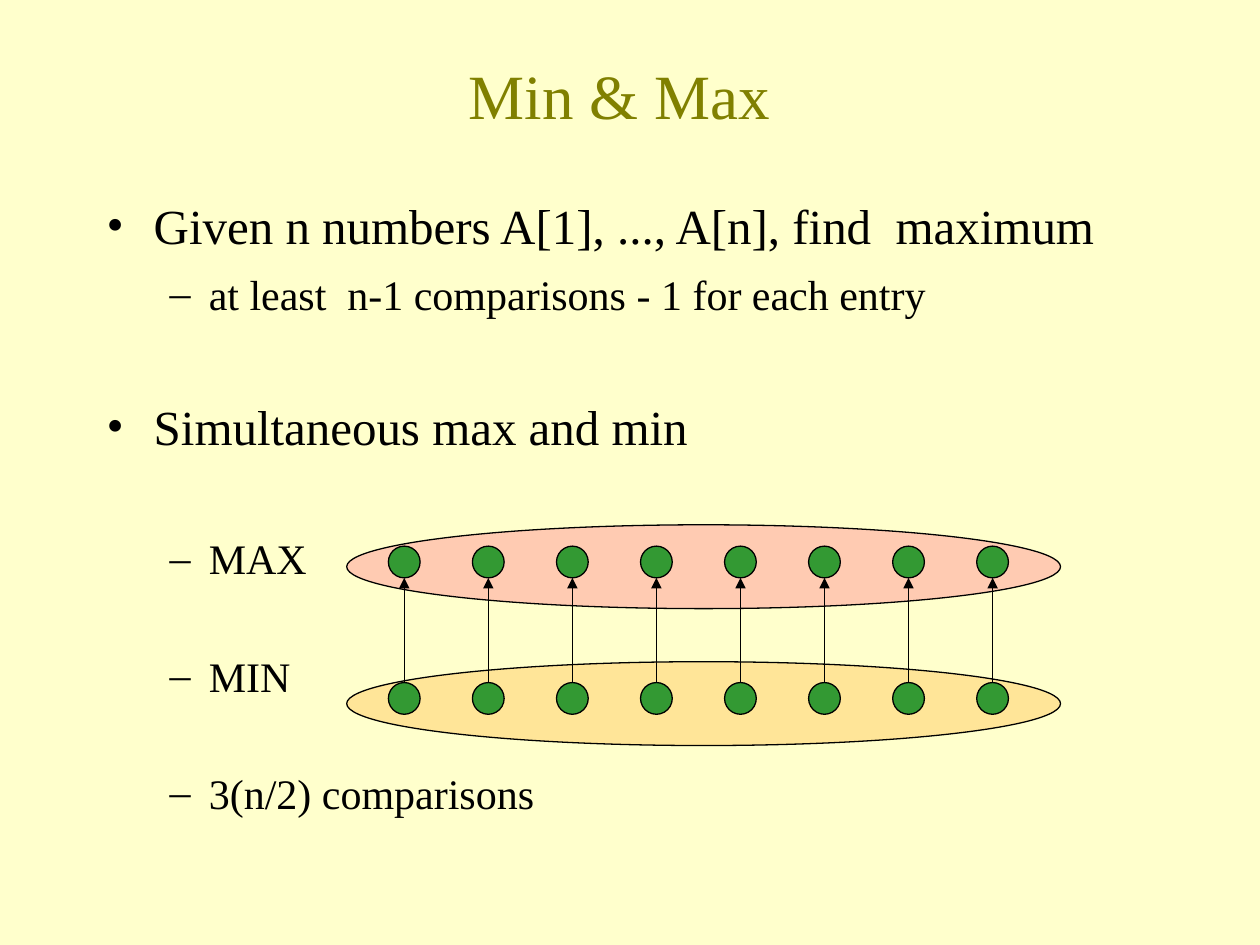
from lxml import etree
from pptx import Presentation
from pptx.dml.color import RGBColor
from pptx.enum.shapes import MSO_CONNECTOR, MSO_SHAPE
from pptx.enum.text import MSO_ANCHOR, PP_ALIGN
from pptx.oxml.ns import qn
from pptx.util import Cm, Pt

OVAL = MSO_SHAPE.OVAL
STRAIGHT = MSO_CONNECTOR.STRAIGHT
CENTER = PP_ALIGN.CENTER
TOP, MIDDLE = MSO_ANCHOR.TOP, MSO_ANCHOR.MIDDLE

FONT = "Times New Roman"
COLORS = {
    "background": "FFFFCC",
    "title": "808000",
    "text": "000000",
    "max": "FF9999",
    "min": "FFCC66",
    "node": "339933",
}


def format_font(font, size, color):
    font.name = FONT
    font.size = Pt(size)
    font.color.rgb = RGBColor.from_string(COLORS[color])


def add_oval(left, top, width, height, color):
    shape = slide.shapes.add_shape(OVAL, Cm(left), Cm(top), Cm(width), Cm(height))
    shape.shadow.inherit = False
    shape.fill.solid()
    shape.fill.fore_color.rgb = RGBColor.from_string(COLORS[color])
    shape.line.color.rgb = RGBColor.from_string(COLORS["text"])
    shape.line.width = Pt(0.75)
    return shape


presentation = Presentation()
presentation.slide_width = Cm(25.4)
presentation.slide_height = Cm(19.05)
slide = presentation.slides.add_slide(presentation.slide_layouts[5])
slide.background.fill.solid()
slide.background.fill.fore_color.rgb = RGBColor.from_string(COLORS["background"])

# Title
title = slide.shapes.title
title.left, title.top, title.width, title.height = Cm(1.69), Cm(0.85), Cm(21.59), Cm(2.12)
title.text_frame.text = "Min & Max"
title.text_frame.vertical_anchor = MIDDLE
title.text_frame.paragraphs[0].alignment = CENTER
format_font(title.text_frame.paragraphs[0].runs[0].font, 36, "title")

# Half-transparent ellipses behind the two groups of numbers
for top, color in ((13.34, "min"), (10.58, "max")):
    group = add_oval(6.99, top, 14.39, 1.69, color)
    color_element = group.fill._xPr.find(qn("a:solidFill"))[0]
    etree.SubElement(color_element, qn("a:alpha"), val="50000")

# Bulleted text: level, space before in points, wording
LEVELS = [
    {"size": 28, "line": 34, "margin": 0.95, "hanging": 0.95, "bullet": "•"},
    {"size": 24, "line": 30, "margin": 2.06, "hanging": 0.79, "bullet": "–"},
]
ITEMS = [
    (0, 0, "Given n numbers A[1], ..., A[n], find  maximum"),
    (1, 6.8, "at least  n-1 comparisons - 1 for each entry"),
    (0, 44, "Simultaneous max and min"),
    (1, 43, "MAX"),
    (1, 37, "MIN"),
    (1, 37, "3(n/2) comparisons"),
]
body = slide.shapes.add_textbox(Cm(1.9), Cm(3.81), Cm(21.59), Cm(14.18))
text_frame = body.text_frame
text_frame.word_wrap = True
text_frame.vertical_anchor = TOP
for index, (level, space_before, wording) in enumerate(ITEMS):
    style = LEVELS[level]
    paragraph = text_frame.add_paragraph() if index else text_frame.paragraphs[0]
    formats = {
        "level": level,
        "space_before": Pt(space_before),
        "line_spacing": Pt(style["line"]),
    }
    for name, value in formats.items():
        setattr(paragraph, name, value)
    run = paragraph.add_run()
    run.text = wording
    format_font(run.font, style["size"], "text")
    properties = paragraph._p.get_or_add_pPr()
    properties.set("marL", str(Cm(style["margin"])))
    properties.set("indent", str(-Cm(style["hanging"])))
    etree.SubElement(properties, qn("a:buFont"), typeface=FONT)
    etree.SubElement(properties, qn("a:buChar"), char=style["bullet"])

# Pairs of nodes, each with an arrow from the smaller to the larger number
PAIRS = 8
NODE = 0.64
FIRST_LEFT, LAST_LEFT = 7.83, 19.69
MAX_TOP, MIN_TOP = 11.01, 13.76
pitch = (LAST_LEFT - FIRST_LEFT) / (PAIRS - 1)
for index in range(PAIRS):
    left = FIRST_LEFT + index * pitch
    for top in (MAX_TOP, MIN_TOP):
        add_oval(left, top, NODE, NODE, "node")
    center = Cm(left + NODE / 2)
    arrow = slide.shapes.add_connector(
        STRAIGHT, center, Cm(MIN_TOP), center, Cm(MAX_TOP + NODE)
    )
    arrow.line.color.rgb = RGBColor.from_string(COLORS["text"])
    arrow.line.width = Pt(0.75)
    etree.SubElement(arrow.line._get_or_add_ln(), qn("a:tailEnd"), type="triangle")
    etree.SubElement(arrow._element.spPr, qn("a:effectLst"))

presentation.save("out.pptx")
